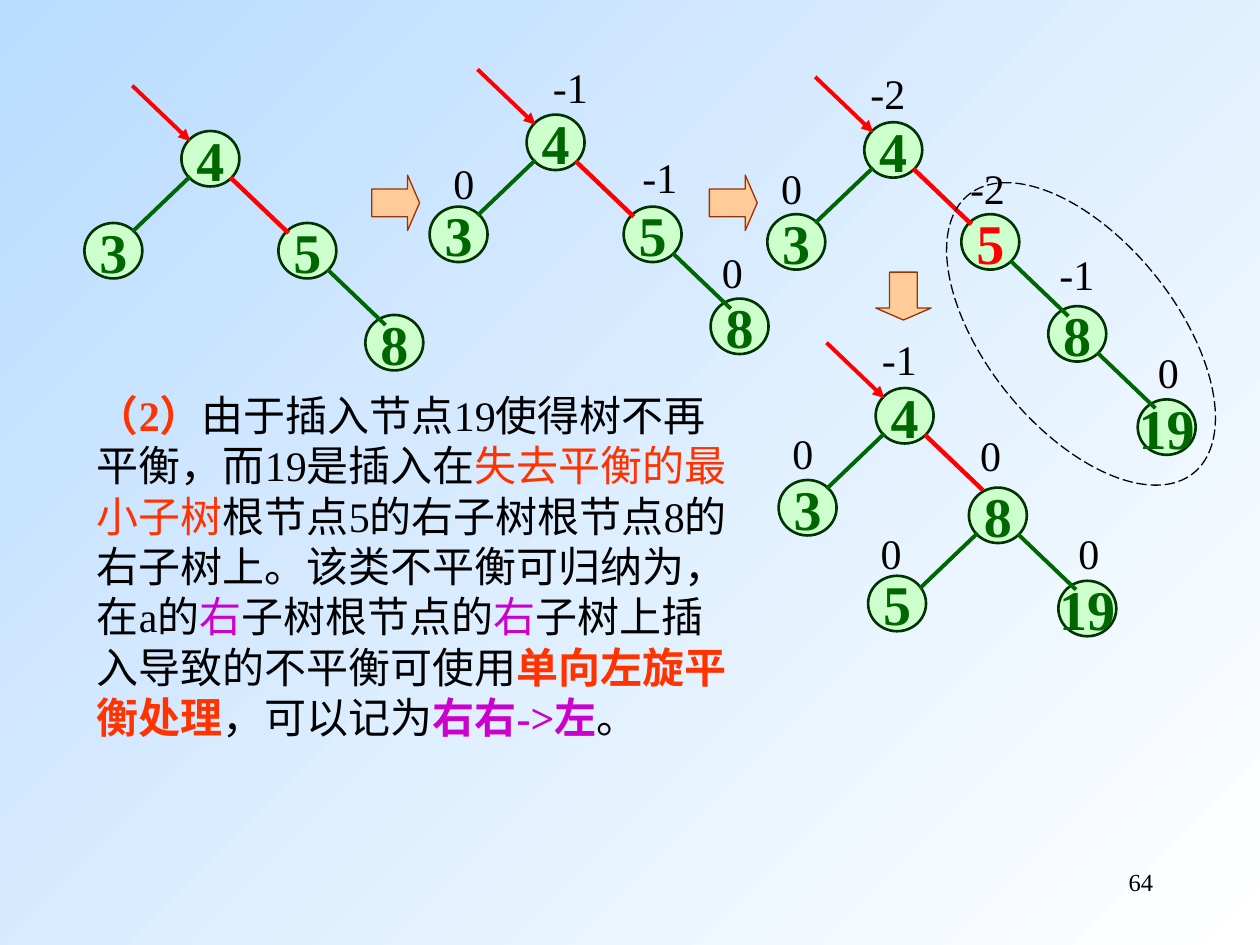
from lxml.etree import SubElement
from pptx import Presentation
from pptx.dml.color import RGBColor
from pptx.enum.dml import MSO_LINE
from pptx.enum.shapes import MSO_CONNECTOR, MSO_SHAPE
from pptx.enum.text import MSO_ANCHOR, PP_ALIGN
from pptx.oxml.ns import qn
from pptx.util import Inches, Pt

rgb = RGBColor.from_string
GREEN, RED, BLACK, ORANGE, PURPLE = "006600", "FF0000", "000000", "FF3300", "CC00CC"

prs = Presentation()
prs.slide_width, prs.slide_height = Inches(10), Inches(7.5)
s = prs.slides.add_slide(prs.slide_layouts[6])
COL, ROW = prs.slide_width / 100, prs.slide_height / 75  # grid of 100 x 75 cells


def write(sp, runs, size, align=PP_ALIGN.LEFT, wrap=True):
    """Fill a shape with one paragraph of (text, colour, bold) runs."""
    tf = sp.text_frame
    tf.word_wrap = wrap
    p = tf.paragraphs[0]
    p.alignment = align
    for text, colour, bold in runs:
        r = p.add_run()
        r.text = text
        fmt = {"name": "Times New Roman", "size": Pt(size), "bold": bold}
        for key, value in fmt.items():
            setattr(r.font, key, value)
        r.font.color.rgb = rgb(colour)


def add(kind, x, y, w, h, fill=None, line=None, weight=0.75):
    """Place a preset shape, or a text box when kind is None, on the grid."""
    box = [int(v) for v in (x * COL, y * ROW, w * COL, h * ROW)]
    if kind is None:
        return s.shapes.add_textbox(*box)
    sp = s.shapes.add_shape(kind, *box)
    sp.shadow.inherit = False
    if fill:
        sp.fill.solid()
        sp.fill.fore_color.rgb = rgb(fill)
    else:
        sp.fill.background()
    sp.line.color.rgb = rgb(line)
    sp.line.width = Pt(weight)
    return sp


# Background gradient
bg = s.background.fill
bg.gradient()
bg.gradient_angle = 315
for stop, colour in zip(bg.gradient_stops, ("B9DCFF", "FFFFFF")):
    stop.color.rgb = rgb(colour)

# Trees: root corner, then nodes as
# (key, offset from root, branches "L"/"R", balance factor, label offset)
NODE_W, NODE_H = 4.6, 4.4
LEFT, RIGHT, DEEP = (-7.7, 7.3), (7.7, 7.3), (14.6, 14.6)
trees = [
    ((14.4, 10.4), [
        ("4", (0, 0), "LR", None, None),
        ("3", LEFT, "", None, None),
        ("5", RIGHT, "R", None, None),
        ("8", DEEP, "", None, None)]),
    ((41.8, 9.1), [
        ("4", (0, 0), "LR", "-1", (1.1, -4.7)),
        ("3", LEFT, "", "0", (0.9, -4.4)),
        ("5", RIGHT, "R", "-1", (0.5, -4.9)),
        ("8", DEEP, "", "0", (-0.1, -4.6))]),
    ((68.6, 9.7), [
        ("4", (0, 0), "LR", "-2", (-0.5, -4.8)),
        ("3", LEFT, "", "0", (0.1, -4.6)),
        ("5", RIGHT, "R", "-2", (-0.3, -4.6)),
        ("8", DEEP, "R", "-1", (-0.1, -5.1)),
        ("19", (21.7, 22), "", "0", (0.6, -4.7))]),
    ((69.5, 30.8), [
        ("4", (0, 0), "LR", "-1", (-0.5, -4.8)),
        ("3", LEFT, "", "0", (0.1, -4.7)),
        ("8", (7.4, 7.9), "LR", "0", (-0.1, -5.1)),
        ("5", (-0.6, 14.9), "", "0", (0, -4.3)),
        ("19", (14.5, 15.3), "", "0", (0.6, -4.7))]),
]

for number, ((root_x, root_y), nodes) in enumerate(trees, 1):
    # Pointer to the root; every line spans the size of one node
    lines = [(root_x - 3.9, root_y - 3.6, 1, RED, 2.25, True)]
    for key, (dx, dy), branches, balance, shift in nodes:
        x, y = root_x + dx, root_y + dy
        node = add(MSO_SHAPE.OVAL, x, y, NODE_W, NODE_H, "CCFFCC", "003300", 1.5)
        node.text_frame.vertical_anchor = MSO_ANCHOR.MIDDLE
        colour = RED if (number, key) == (3, "5") else GREEN
        write(node, [(key, colour, True)], 32, PP_ALIGN.CENTER, False)
        if balance:
            label = add(None, x + shift[0], y + shift[1], 5.5, 5)
            write(label, [(balance, BLACK, False)], 24)
        if "L" in branches:
            lines.append((x + 0.7, y + 3.6, -1, GREEN, 2.25, False))
        if "R" in branches:
            at_root = key == "4"
            lines.append((x + 3.9, y + 3.7, 1, RED if at_root else GREEN,
                          2.5 if at_root else 2.25, False))

    for x, y, side, colour, weight, arrow in lines:
        ends = (x * COL, y * ROW, (x + side * NODE_W) * COL, (y + NODE_H) * ROW)
        c = s.shapes.add_connector(MSO_CONNECTOR.STRAIGHT, *map(int, ends))
        c.line.color.rgb = rgb(colour)
        c.line.width = Pt(weight)
        if arrow:
            SubElement(c.line._get_or_add_ln(), qn("a:tailEnd"), type="triangle")
        SubElement(c._element.spPr, qn("a:effectLst"))

# Block arrows between the steps
for x, y, turn in ((29.5, 13.9, 0), (56.3, 13.9, 0), (69.8, 21.3, 90)):
    arrow = add(MSO_SHAPE.RIGHT_ARROW, x, y, 3.8, 4.4, "FFCC99", "993300")
    arrow.adjustments[0], arrow.adjustments[1] = 0.5, 0.25
    arrow.rotation = turn

# Dashed ring around the unbalanced subtree
ring = add(MSO_SHAPE.OVAL, 78.3, 12.3, 15, 28.4, line=BLACK)
ring.line.dash_style = MSO_LINE.LONG_DASH
ring.rotation = 321

# Explanation
write(add(None, 6.7, 30.4, 52, 39.1), [
    ("（2）", ORANGE, True),
    ("由于插入节点19使得树不再平衡，而19是插入在", BLACK, False),
    ("失去平衡的最小子树", ORANGE, False),
    ("根节点5的右子树根节点8的右子树上。该类不平衡可归纳为，在a的", BLACK, False),
    ("右", PURPLE, False),
    ("子树根节点的", BLACK, False),
    ("右", PURPLE, False),
    ("子树上插入导致的不平衡可使用", BLACK, False),
    ("单向左旋平衡处理", ORANGE, True),
    ("，可以记为", BLACK, False),
    ("右右->左", PURPLE, True),
    ("。", BLACK, False)], 24)

# Slide number
write(add(None, 71.7, 68.3, 20.8, 5), [("64", BLACK, False)], 14, PP_ALIGN.RIGHT)

prs.save("out.pptx")
